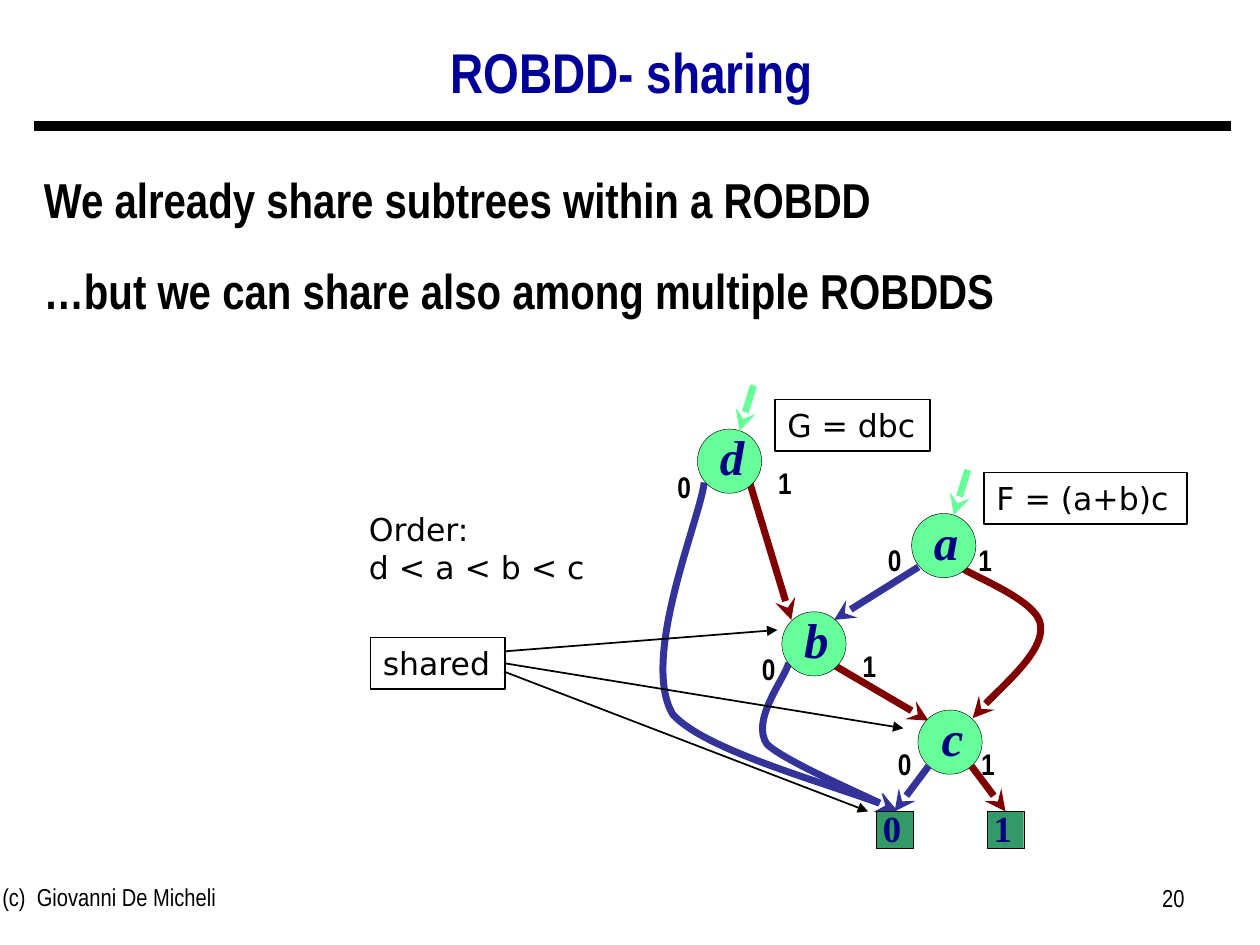
from lxml.etree import SubElement
from pptx import Presentation
from pptx.dml.color import RGBColor
from pptx.enum.shapes import MSO_CONNECTOR as Connector, MSO_SHAPE as Shape
from pptx.enum.text import MSO_ANCHOR as Anchor, PP_ALIGN as Align
from pptx.oxml.ns import qn
from pptx.util import Inches, Pt

COLORS = {
    "black": "000000", "title": "000099", "node": "66FF99", "node_text": "000080",
    "terminal": "339966", "zero": "333399", "one": "800000",
}
NARROW, SANS, SERIF = "Arial Narrow", "DejaVu Sans", "Times New Roman"
NODE_SIZE, TERMINAL_SIZE = 0.51, 0.29


def color(name):
    return RGBColor.from_string(COLORS[name])


class DiagramSlide:
    """Draws the elements of a decision diagram on one slide."""

    def __init__(self, slide):
        self.shapes = slide.shapes

    def fill_text(self, shape, lines, size, font, ink="black", bold=False, italic=False,
                  align=Align.LEFT, anchor=Anchor.TOP, wrap=True, inset=None,
                  spacing=None, before=0):
        frame = shape.text_frame
        frame.word_wrap = wrap
        frame.vertical_anchor = anchor
        if inset is not None:
            frame.margin_left = frame.margin_right = Inches(inset)
            frame.margin_top = frame.margin_bottom = Inches(inset)
        for index, line in enumerate(lines):
            para = frame.paragraphs[0] if index == 0 else frame.add_paragraph()
            para.text = line
            para.alignment = align
            if spacing:
                para.line_spacing = spacing
            if index and before:
                para.space_before = Pt(before)
            para.font.name, para.font.size = font, Pt(size)
            para.font.bold, para.font.italic = bold, italic
            para.font.color.rgb = color(ink)

    def text(self, left, top, width, height, lines, size, font, **style):
        box = self.shapes.add_textbox(*map(Inches, (left, top, width, height)))
        self.fill_text(box, lines, size, font, **style)

    def label(self, x, y, height, text, size, font, **style):
        """Centre a short text on a point."""
        width = 0.2
        self.text(x - width / 2, y - height / 2, width, height, [text], size, font,
                  align=Align.CENTER, anchor=Anchor.MIDDLE, wrap=False, inset=0,
                  bold=True, **style)

    def shape(self, kind, left, top, width, height, fill=None, line_width=1):
        shape = self.shapes.add_shape(kind, *map(Inches, (left, top, width, height)))
        shape.shadow.inherit = False
        if fill:
            shape.fill.solid()
            shape.fill.fore_color.rgb = color(fill)
        else:
            shape.fill.background()
        shape.line.color.rgb = color("black")
        shape.line.width = Pt(line_width)
        return shape

    def framed(self, left, top, width, text):
        box = self.shape(Shape.RECTANGLE, left, top, width, 0.41)
        self.fill_text(box, [text], 18, SANS, wrap=False)
        return box

    def node(self, x, y, name):
        self.shape(Shape.OVAL, x - NODE_SIZE / 2, y - NODE_SIZE / 2,
                   NODE_SIZE, NODE_SIZE, "node", 0.25)
        self.label(x + 0.02, y - 0.04, 0.47, name, 28, SERIF, ink="node_text", italic=True)

    def terminal(self, x, top, value):
        square = self.shape(Shape.RECTANGLE, x - TERMINAL_SIZE / 2, top,
                            TERMINAL_SIZE, TERMINAL_SIZE, "terminal", 0.25)
        self.label(x - 0.02, top + 0.13, 0.35, value, 21, SERIF, ink="node_text")
        return square

    def stroke(self, line, ink, width, head):
        line.color.rgb = color(ink)
        line.width = Pt(width)
        if head:
            SubElement(line._get_or_add_ln(), qn("a:tailEnd"), type=head)

    def line(self, start, end, ink="black", width=1, head="triangle"):
        connector = self.shapes.add_connector(
            Connector.STRAIGHT, *map(Inches, (*start, *end)))
        self.stroke(connector.line, ink, width, head)
        SubElement(connector._element.spPr, qn("a:effectLst"))
        return connector

    def edge(self, start, end, ink):
        return self.line(start, end, ink, 4, "stealth")

    def curve(self, points, ink):
        """Draw a Bezier arrow: a start, then two controls and an end per segment."""
        corners = [tuple(map(Inches, point)) for point in points]
        builder = self.shapes.build_freeform(*corners[0])
        builder.add_line_segments(corners[1:], close=False)
        shape = builder.convert_to_shape()
        shape.shadow.inherit = False
        shape.fill.background()
        self.stroke(shape.line, ink, 4, "stealth")
        outline = next(shape._element.iter(qn("a:path")))
        steps = outline.findall(qn("a:lnTo"))
        for first in range(0, len(steps), 3):
            bezier = SubElement(outline, qn("a:cubicBezTo"))
            for step in steps[first:first + 3]:
                bezier.append(step[0])
                outline.remove(step)


def main():
    deck = Presentation()
    deck.slide_width, deck.slide_height = Inches(10), Inches(7.5)
    page = DiagramSlide(deck.slides.add_slide(deck.slide_layouts[6]))

    page.line((0.27, 1), (9.77, 1), width=6, head=None)
    page.text(-0.08, 6.95, 3.17, 0.52, ["(c)  Giovanni De Micheli"], 14, NARROW)
    page.text(7.17, 6.96, 2.33, 0.52, ["20"], 14, NARROW, align=Align.RIGHT)
    page.text(0.26, 0.22, 9.51, 0.75, ["ROBDD- sharing"], 32, NARROW, ink="title",
              bold=True, align=Align.CENTER, anchor=Anchor.MIDDLE, spacing=0.9)
    page.text(0.25, 1.18, 9.51, 5.69,
              ["We already share subtrees within a ROBDD",
               "…but we can share also among multiple ROBDDS"],
              28, NARROW, bold=True, spacing=1.25, before=10)

    # Edges of the two diagrams
    page.edge((7.29, 4.5), (6.62, 4.92), "zero")
    page.edge((6.62, 5.28), (7.37, 5.72), "one")
    page.edge((5.95, 3.83), (6.28, 4.92), "one")
    page.curve([(7.62, 4.5), (7.73, 4.58), (8.25, 4.77), (8.26, 4.97),
                (8.28, 5.17), (7.84, 5.55), (7.72, 5.7)], "one")
    page.curve([(6.26, 5.26), (6.24, 5.37), (5.95, 5.72), (6.09, 5.91),
                (6.24, 6.04), (6.9, 6.33), (7.12, 6.44)], "zero")
    page.curve([(5.59, 3.83), (5.55, 4.14), (5.08, 5.23), (5.34, 5.67),
                (5.59, 5.95), (6.75, 6.27), (7.12, 6.43)], "zero")

    # Nodes, with an entry arrow into each root
    nodes = {"d": (5.79, 3.66), "a": (7.49, 4.33), "b": (6.46, 5.11), "c": (7.54, 5.89)}
    for name, (x, y) in nodes.items():
        page.node(x, y, name)
    for x, y in (nodes["d"], nodes["a"]):
        page.edge((x + 0.19, y - 0.6), (x + 0.08, y - 0.24), "node")

    for value, x, start, ink in (("0", 7.1, 7.37, "zero"), ("1", 7.98, 7.71, "one")):
        square = page.terminal(x, 6.44, value)
        page.edge((start, 6.08), (x, 6.44), ink).end_connect(square, 0)

    for value, x, y in (("0", 5.43, 3.86), ("1", 6.23, 3.83), ("0", 7.1, 4.44),
                        ("1", 7.82, 4.44), ("0", 6.1, 5.31), ("1", 6.9, 5.28),
                        ("0", 7.18, 6.06), ("1", 7.84, 6.06)):
        page.label(x, y, 0.28, value, 17, NARROW)

    # Annotations
    page.text(2.83, 4, 2.02, 0.7, ["Order:", "d < a < b < c"], 18, SANS)
    page.framed(6.15, 3.17, 1.23, "G = dbc")
    page.framed(7.81, 3.75, 1.61, "F = (a+b)c")
    shared = page.framed(2.94, 5.06, 1.07, "shared")
    page.line((4, 5.17), (6.17, 5))
    page.line((4, 5.25), (7.17, 5.78)).begin_connect(shared, 3)
    page.line((4, 5.33), (6.89, 6.44))

    deck.save("out.pptx")


if __name__ == "__main__":
    main()
